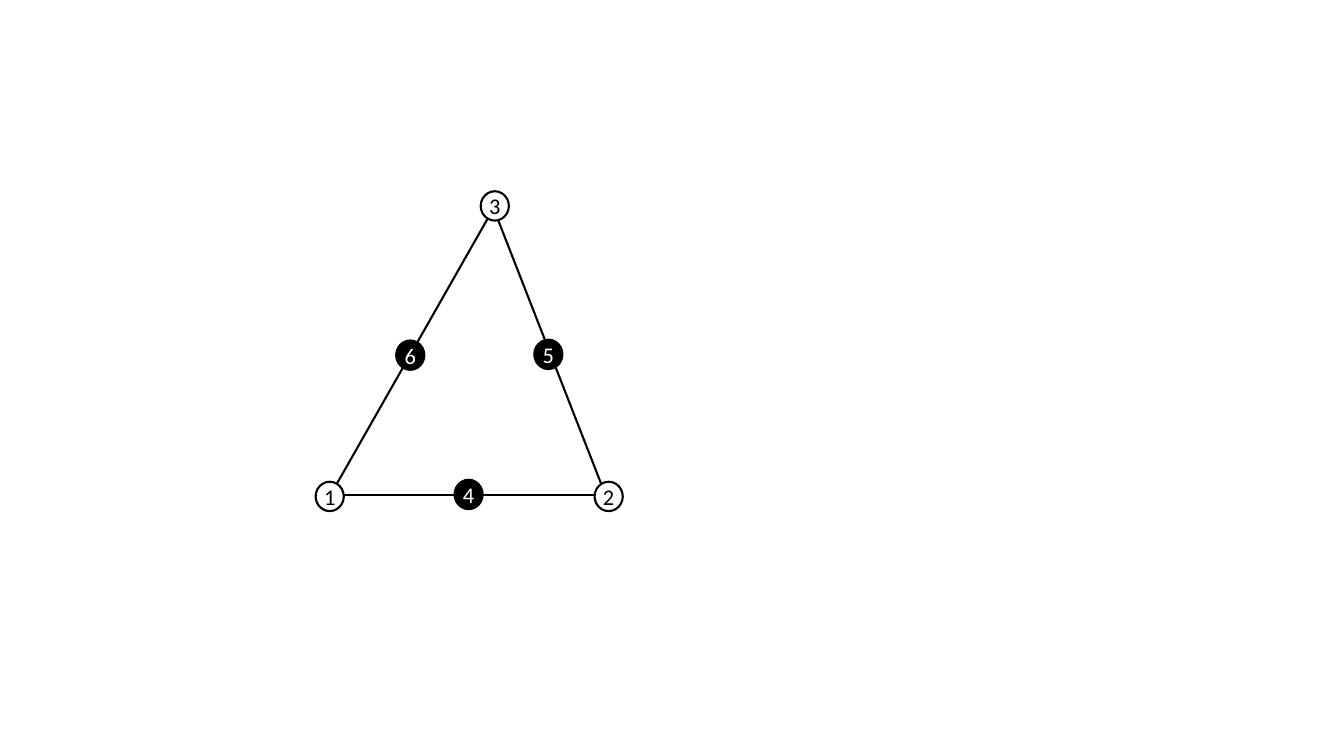
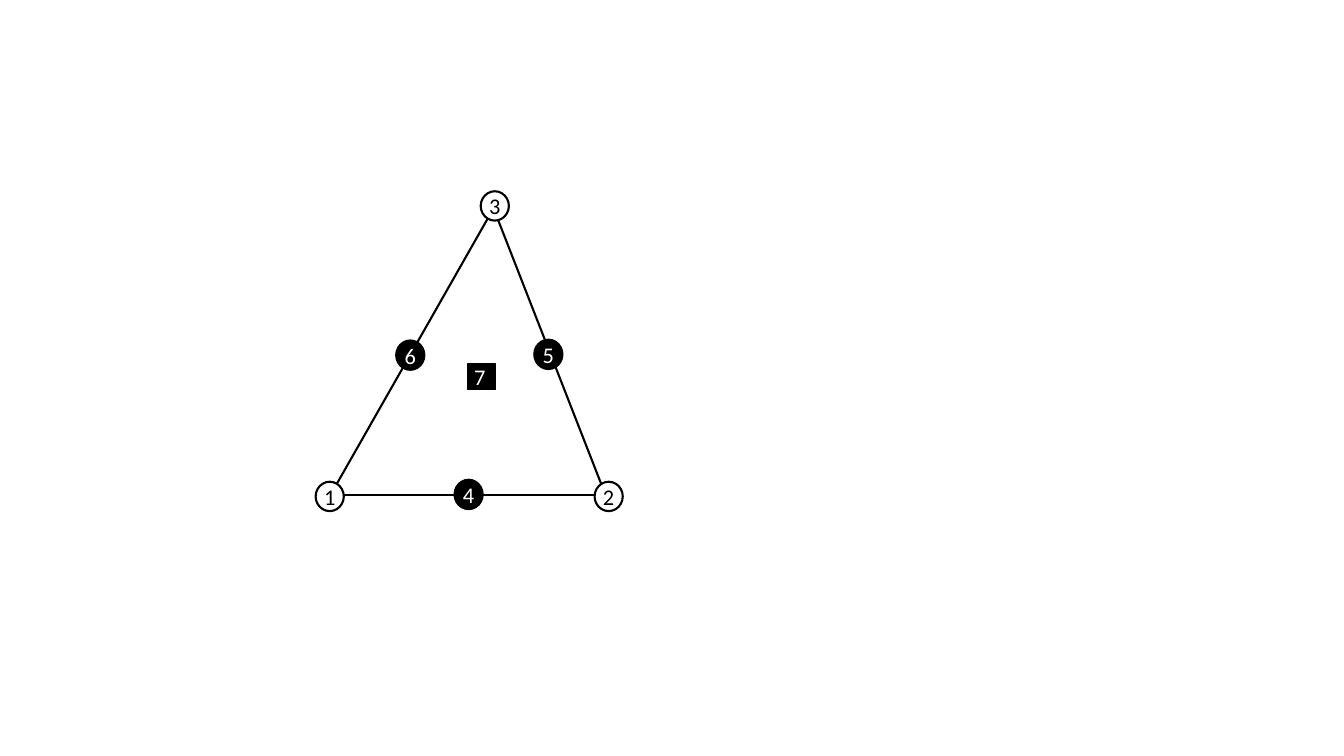
import pptx
import pptx.util
import pptx.dml.color
import pptx.enum.shapes
import pptx.enum.text
import pptx.oxml.ns
import lxml.etree

Cm = pptx.util.Cm
Pt = pptx.util.Pt
SHAPE = pptx.enum.shapes.MSO_SHAPE

BLACK = pptx.dml.color.RGBColor(0x00, 0x00, 0x00)
WHITE = pptx.dml.color.RGBColor(0xFF, 0xFF, 0xFF)
FONT = "Calibri"
BLANK_LAYOUT = 6

ELEMENT_LEFT, ELEMENT_TOP = Cm(7.95), Cm(4.82)
NODE_WIDTH, NODE_HEIGHT = Cm(0.71), Cm(0.74)
CENTROID_HEIGHT = Cm(0.64)

EDGES = [
    ((0.38, 7.65), (4.47, 0.46)),
    ((7.32, 7.68), (4.5, 0.46)),
    ((0.38, 7.65), (7.37, 7.65)),
]
CORNER_NODES = {"1": (0.36, 7.69), "2": (7.39, 7.69), "3": (4.52, 0.37)}
MIDSIDE_NODES = {"4": (3.86, 7.64), "5": (5.87, 4.11), "6": (2.39, 4.13)}
CENTROID = (4.19, 4.67)


def add_edge(shapes, left, top, start, end):
    edge = shapes.add_connector(
        pptx.enum.shapes.MSO_CONNECTOR.STRAIGHT,
        left + Cm(start[0]), top + Cm(start[1]),
        left + Cm(end[0]), top + Cm(end[1]),
    )
    edge.line.color.rgb = BLACK
    edge.line.width = Pt(1.5)
    properties = edge._element.spPr
    lxml.etree.SubElement(properties, pptx.oxml.ns.qn("a:effectLst"))


def add_node(shapes, left, top, center, label, fill, text_color,
             kind=SHAPE.OVAL, height=NODE_HEIGHT, line_width=Pt(1.5)):
    node = shapes.add_shape(
        kind,
        left + Cm(center[0]) - NODE_WIDTH // 2,
        top + Cm(center[1]) - height // 2,
        NODE_WIDTH, height,
    )
    node.shadow.inherit = False
    node.fill.solid()
    node.fill.fore_color.rgb = fill
    node.line.color.rgb = BLACK
    node.line.width = line_width
    frame = node.text_frame
    frame.margin_left = frame.margin_right = 0
    frame.margin_top = frame.margin_bottom = 0
    frame.word_wrap = False
    frame.vertical_anchor = pptx.enum.text.MSO_ANCHOR.MIDDLE
    paragraph = frame.paragraphs[0]
    paragraph.text = label
    paragraph.alignment = pptx.enum.text.PP_ALIGN.CENTER
    paragraph.font.name = FONT
    paragraph.font.size = Pt(16)
    paragraph.font.color.rgb = text_color
    return node


def add_triangle(shapes, left, top):
    for start, end in EDGES:
        add_edge(shapes, left, top, start, end)
    for label, center in CORNER_NODES.items():
        add_node(shapes, left, top, center, label, WHITE, BLACK)
    for label, center in MIDSIDE_NODES.items():
        add_node(shapes, left, top, center, label, BLACK, WHITE)


def add_centroid_node(shapes, left, top):
    node = add_node(shapes, left, top, CENTROID, "7", BLACK, WHITE,
                    SHAPE.RECTANGLE, CENTROID_HEIGHT, Pt(1))
    node.text_frame.margin_right = Cm(0.1)


def add_blank_slide(presentation):
    return presentation.slides.add_slide(presentation.slide_layouts[BLANK_LAYOUT])


def build_six_node_slide(presentation):
    slide = add_blank_slide(presentation)
    group = slide.shapes.add_group_shape()
    add_triangle(group.shapes, ELEMENT_LEFT, ELEMENT_TOP)


def build_seven_node_slide(presentation):
    slide = add_blank_slide(presentation)
    add_triangle(slide.shapes, ELEMENT_LEFT, ELEMENT_TOP)
    add_centroid_node(slide.shapes, ELEMENT_LEFT, ELEMENT_TOP)


def main():
    presentation = pptx.Presentation()
    presentation.slide_width = Cm(33.87)
    presentation.slide_height = Cm(19.05)
    build_six_node_slide(presentation)
    build_seven_node_slide(presentation)
    presentation.save("out.pptx")


if __name__ == "__main__":
    main()
